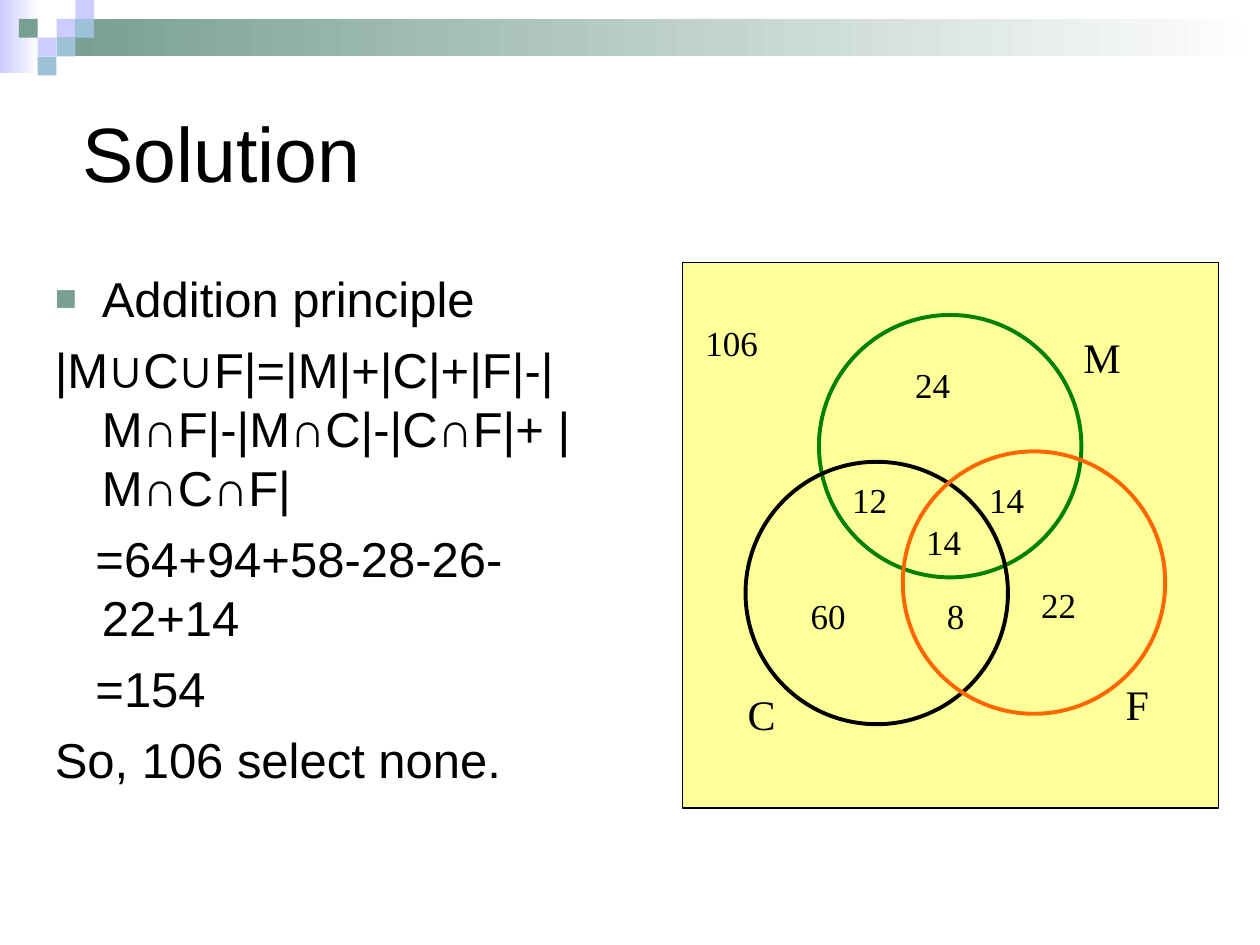
from lxml import etree
from pptx import Presentation, util as u
from pptx.dml.color import RGBColor
from pptx.enum import shapes, text
from pptx.oxml.ns import qn

BLACK, SAGE, LILAC, SKY = "000000", "779F92", "CCCCFF", "9DC2D7"
TILE = 0.38  # side of a corner tile, cm
HANG = 0.95  # hanging indent of the list, cm


def color(value):
    return RGBColor.from_string(value)


def write(para, words, font="Arial", size=28, fill=BLACK):
    span = para.add_run()
    span.text = words
    span.font.name, span.font.size = font, u.Pt(size)
    span.font.color.rgb = color(fill)


def set_indent(para, first):
    """Hang the paragraph, with its first line starting at `first` cm."""
    props = para._p.get_or_add_pPr()
    props.set("marL", str(u.Cm(HANG)))
    props.set("indent", str(u.Cm(first - HANG)))
    return props


def add_bullet(props, char):
    tint = etree.SubElement(props, qn("a:buClr"))
    etree.SubElement(tint, qn("a:srgbClr"), val=SAGE)
    etree.SubElement(props, qn("a:buSzPct"), val="75000")
    etree.SubElement(props, qn("a:buFont"), typeface="Arial")
    etree.SubElement(props, qn("a:buChar"), char=char)


class SlideBuilder:
    """Holds the current slide and the style of its labels."""

    label_font = "Times New Roman"

    def __init__(self, page):
        self.page = page

    def place(self, item, left, top, width, height):
        item.left, item.top = u.Cm(left), u.Cm(top)
        item.width, item.height = u.Cm(width), u.Cm(height)

    def shape(self, kind, left, top, width, height, fill=None, line=None, weight=0.75):
        item = self.page.shapes.add_shape(
            kind, u.Cm(left), u.Cm(top), u.Cm(width), u.Cm(height))
        item.shadow.inherit = False
        if fill:
            item.fill.solid()
            item.fill.fore_color.rgb = color(fill)
        else:
            item.fill.background()
        if line:
            item.line.color.rgb = color(line)
            item.line.width = u.Pt(weight)
        else:
            item.line.fill.background()
        return item

    def rect(self, *place, **style):
        return self.shape(shapes.MSO_SHAPE.RECTANGLE, *place, **style)

    def fading_bar(self, *place, start):
        bar = self.rect(*place)
        bar.fill.gradient()
        bar.fill.gradient_angle = 0
        for stop, value in zip(bar.fill.gradient_stops, (start, "FFFFFF")):
            stop.color.rgb = color(value)

    def circle(self, left, top, size, line):
        self.shape(shapes.MSO_SHAPE.OVAL, left, top, size, size, line=line, weight=2.25)

    def label(self, words, left, top, width, height, size):
        box = self.page.shapes.add_textbox(
            u.Cm(left), u.Cm(top), u.Cm(width), u.Cm(height))
        box.text_frame.word_wrap = True
        write(box.text_frame.paragraphs[0], words, font=self.label_font, size=size)

    def title(self, words, *place):
        box = self.page.shapes.title
        self.place(box, *place)
        frame = box.text_frame
        frame.auto_size = text.MSO_AUTO_SIZE.NONE
        frame.vertical_anchor = text.MSO_ANCHOR.MIDDLE
        frame.paragraphs[0].alignment = text.PP_ALIGN.LEFT
        write(frame.paragraphs[0], words, size=44)

    def body(self, lines, *place):
        """Fill the list; each line is (words, first-line start in cm, bullet)."""
        box = self.page.placeholders[1]
        self.place(box, *place)
        frame = box.text_frame
        frame.auto_size = text.MSO_AUTO_SIZE.NONE
        for number, (words, first, bullet) in enumerate(lines):
            para = frame.add_paragraph() if number else frame.paragraphs[0]
            props = set_indent(para, first)
            if bullet:
                add_bullet(props, bullet)
            else:
                etree.SubElement(props, qn("a:buNone"))
            para.space_before = u.Pt(7 if number else 0)
            write(para, words)


def main():
    deck = Presentation()
    deck.slide_width, deck.slide_height = u.Cm(25.4), u.Cm(19.05)
    slide = SlideBuilder(deck.slides.add_slide(deck.slide_layouts[1]))

    slide.fading_bar(0, 0, 0.79, 1.47, start=LILAC)
    slide.fading_bar(1.14, 0.38, 24.26, 0.76, start=SAGE)
    tiles = [(3, 1, LILAC), (4, 0, LILAC), (4, 1, SKY), (2, 2, LILAC),
             (1, 1, SAGE), (3, 2, SKY), (2, 3, SKY)]
    for column, row, fill in tiles:
        slide.rect(column * TILE, row * TILE, TILE, TILE, fill=fill)

    slide.title("Solution", 1.4, 2, 24, 2.1)
    slide.body([
        ("Addition principle", 0, "■"),
        ("|M∪C∪F|=|M|+|C|+|F|-|M∩F|-|M∩C|-|C∩F|+ |M∩C∩F|", 0, None),
        ("=64+94+58-28-26-22+14", 0.82, None),
        ("=154", 0.82, None),
        ("So, 106 select none.", 0, None),
    ], 0.85, 5.29, 11.18, 11.43)

    slide.rect(13.76, 5.29, 10.8, 11, fill="FFFF99", line=BLACK)
    for left, top, line in [(16.51, 6.35, "008000"), (15.03, 9.31, BLACK),
                            (18.2, 9.1, "FF6600")]:
        slide.circle(left, top, 5.29, line)

    for name, left, top in [("M", 21.59, 6.56), ("F", 22.44, 13.55), ("C", 14.82, 13.76)]:
        slide.label(name, left, top, 1.27, 1.27, size=24)
    counts = [("14", 18.42, 10.37), ("14", 19.69, 9.53), ("12", 16.93, 9.53),
              ("8", 18.84, 11.85), ("24", 18.2, 7.2), ("60", 16.09, 11.85),
              ("22", 20.74, 11.64), ("106", 13.97, 6.35)]
    for count, left, top in counts:
        slide.label(count, left, top, 2.54, 1.11, size=20)

    deck.save("out.pptx")


if __name__ == "__main__":
    main()
